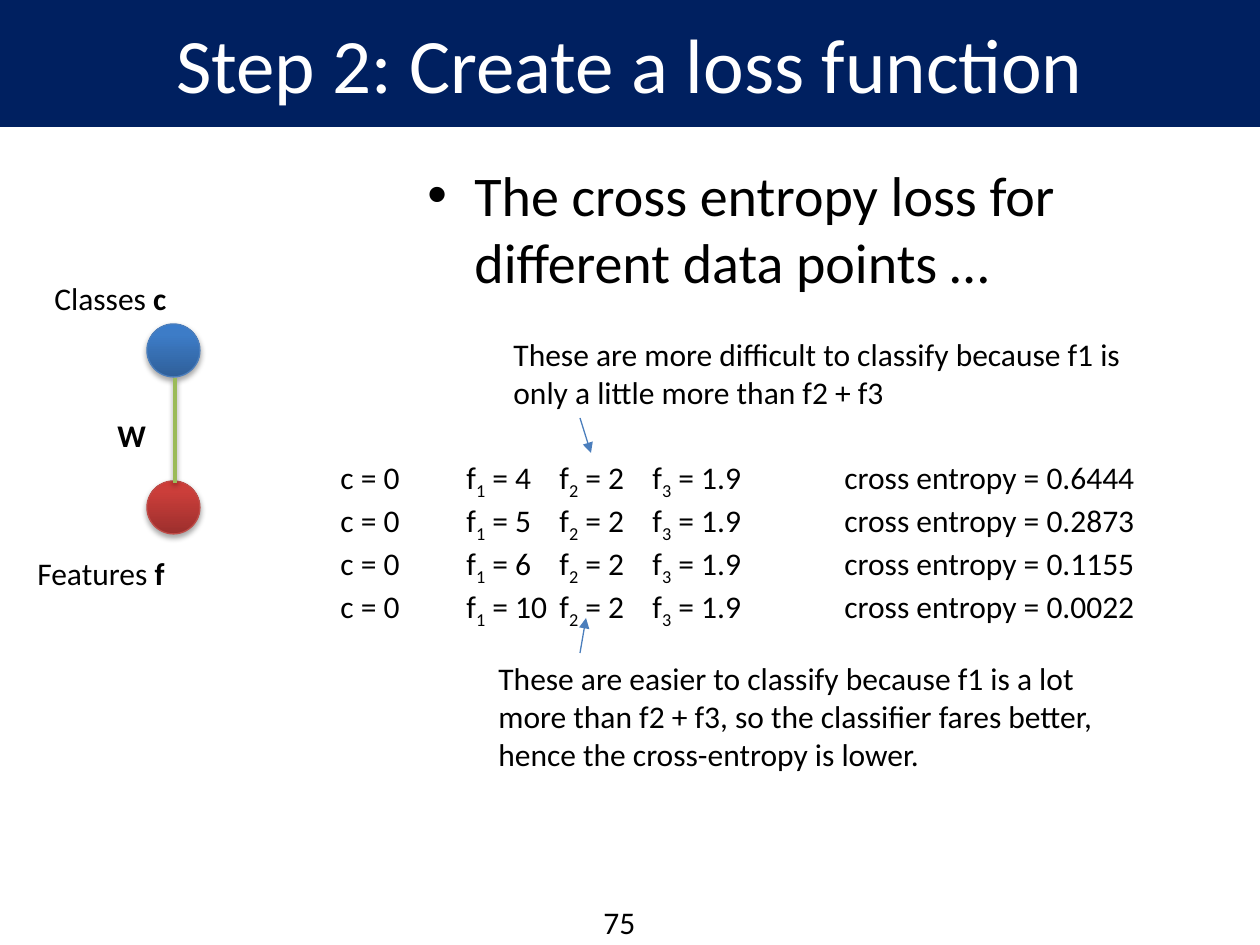
from copy import deepcopy
from dataclasses import dataclass

from lxml.etree import SubElement as Sub
from pptx import Presentation
from pptx.dml.color import RGBColor
from pptx.enum.shapes import MSO_CONNECTOR as Link, MSO_SHAPE as Kind
from pptx.enum.text import MSO_ANCHOR as Anchor, PP_ALIGN as Align
from pptx.oxml.ns import qn
from pptx.util import Pt

SCALE = 914400 / 126
FONT = "Calibri"
BLACK = "000000"
NAVY = "002060"
BLUE = "4B7EBC"


@dataclass
class Node:
    top: int
    fill: tuple[str, str, str]
    edge: str


@dataclass
class Label:
    box: tuple[int, int, int, int]
    runs: list[tuple[str, bool]]
    wrap: bool = False


@dataclass
class Wire:
    start: tuple[int, int]
    end: tuple[int, int]
    tint: str = BLUE
    width: float = 0.75
    arrow: bool = True


@dataclass
class Point:
    first: int
    loss: str


NODES = [
    Node(324, ("2F5F99", "3D7CC7", "3A7CCB"), BLUE),
    Node(481, ("9C2F2D", "CB3E3A", "CE3B37"), "BF4C48"),
]
LABELS = [
    Label((25, 548, 154, 50), [("Features ", False), ("f", True)]),
    Label((42, 273, 139, 50), [("Classes ", False), ("c", True)]),
    Label((105, 410, 54, 50), [("W", True)]),
    Label((501, 329, 662, 89), [("These are more difficult to classify because f1 is only a little more than f2 + f3", False)], True),
    Label((486, 653, 662, 128), [("These are easier to classify because f1 is a lot more than f2 + f3, so the classifier fares better, hence the cross-entropy is lower.", False)], True),
    Label((591, 897, 90, 50), [("75", False)]),
]
WIRES = [
    Wire((175, 378), (175, 483), "9BBB59", 2, False),
    Wire((580, 418), (591, 453)),
    Wire((580, 653), (586, 618)),
]
POINTS = [Point(4, "0.6444"), Point(5, "0.2873"), Point(6, "0.1155"), Point(10, "0.0022")]
TABS = (126, 219, 312, 504)


def px(n: int) -> int:
    return round(n * SCALE)


def rgb(code: str) -> RGBColor:
    return RGBColor.from_string(code)


def add_run(para, text: str, size: int = 18, bold: bool = False, sub: bool = False, tint: str = BLACK) -> None:
    run = para.add_run()
    run.text = text
    font = run.font
    font.name, font.size, font.bold = FONT, Pt(size), bold
    font.color.rgb = rgb(tint)
    if sub:
        run._r.get_or_add_rPr().set("baseline", "-25000")


def add_box(slide, box: tuple[int, int, int, int], wrap: bool):
    frame = slide.shapes.add_textbox(*map(px, box)).text_frame
    frame.word_wrap = wrap
    return frame


def add_shade(part, alpha: int, dist: int) -> None:
    shade = Sub(part, qn("a:outerShdw"), blurRad="40000", dist=str(dist), dir="5400000", rotWithShape="0")
    tint = Sub(shade, qn("a:srgbClr"), val=BLACK)
    Sub(tint, qn("a:alpha"), val=str(alpha * 1000))


def draw_title(slide, text: str) -> None:
    title = slide.shapes.title
    title.left, title.top, title.width, title.height = map(px, (0, 0, 1260, 126))
    title.fill.solid()
    title.fill.fore_color.rgb = rgb(NAVY)
    title.line.color.rgb = rgb(NAVY)
    title.line.width = Pt(0.75)
    frame = title.text_frame
    frame.vertical_anchor = Anchor.MIDDLE
    para = frame.paragraphs[0]
    para.alignment = Align.CENTER
    add_run(para, text, 44, tint="FFFFFF")


def draw_node(slide, node: Node) -> None:
    shape = slide.shapes.add_shape(Kind.OVAL, *map(px, (147, node.top, 53, 53)))
    shape.fill.gradient()
    shape.fill.gradient_angle = 90
    stops = shape._element.spPr.find(qn("a:gradFill")).find(qn("a:gsLst"))
    stops.append(deepcopy(stops[-1]))
    for stop, tint, pos in zip(shape.fill.gradient_stops, node.fill, (0, 0.8, 1)):
        stop.color.rgb = rgb(tint)
        stop.position = pos
    shape.line.color.rgb = rgb(node.edge)
    shape.line.width = Pt(0.75)
    shape.shadow.inherit = False
    add_shade(shape._element.spPr.find(qn("a:effectLst")), 35, 23000)


def draw_wire(slide, wire: Wire) -> None:
    line = slide.shapes.add_connector(Link.STRAIGHT, *map(px, wire.start + wire.end))
    line.line.color.rgb = rgb(wire.tint)
    line.line.width = Pt(wire.width)
    props = line._element.spPr
    fx = Sub(props, qn("a:effectLst"))
    if wire.arrow:
        Sub(props.find(qn("a:ln")), qn("a:tailEnd"), type="triangle")
    else:
        add_shade(fx, 38, 20000)


def draw_label(slide, label: Label) -> None:
    para = add_box(slide, label.box, label.wrap).paragraphs[0]
    for text, bold in label.runs:
        add_run(para, text, bold=bold)


def draw_bullet(slide, text: str) -> None:
    para = add_box(slide, (415, 154, 772, 256), True).paragraphs[0]
    props = para._p.get_or_add_pPr()
    props.set("marL", str(px(47)))
    props.set("indent", str(-px(47)))
    Sub(props, qn("a:buFont"), typeface="Arial")
    Sub(props, qn("a:buChar"), char="•")
    add_run(para, text, 32)


def draw_points(slide, points: list[Point]) -> None:
    frame = add_box(slide, (328, 452, 828, 165), False)
    for i, point in enumerate(points):
        para = frame.add_paragraph() if i else frame.paragraphs[0]
        tabs = Sub(para._p.get_or_add_pPr(), qn("a:tabLst"))
        for pos in TABS:
            Sub(tabs, qn("a:tab"), pos=str(px(pos)), algn="l")
        add_run(para, "c = 0")
        for sub, value in enumerate((point.first, 2, 1.9), 1):
            add_run(para, "\tf")
            add_run(para, str(sub), sub=True)
            add_run(para, f" = {value}")
        add_run(para, f"\tcross entropy = {point.loss}")


def main() -> None:
    deck = Presentation()
    deck.slide_width, deck.slide_height = px(1260), px(945)
    slide = deck.slides.add_slide(deck.slide_layouts[5])
    draw_title(slide, "Step 2: Create a loss function")
    for node in NODES:
        draw_node(slide, node)
    for label in LABELS:
        draw_label(slide, label)
    draw_points(slide, POINTS)
    draw_bullet(slide, "The cross entropy loss for different data points …")
    for wire in WIRES:
        draw_wire(slide, wire)
    deck.save("out.pptx")


if __name__ == "__main__":
    main()
